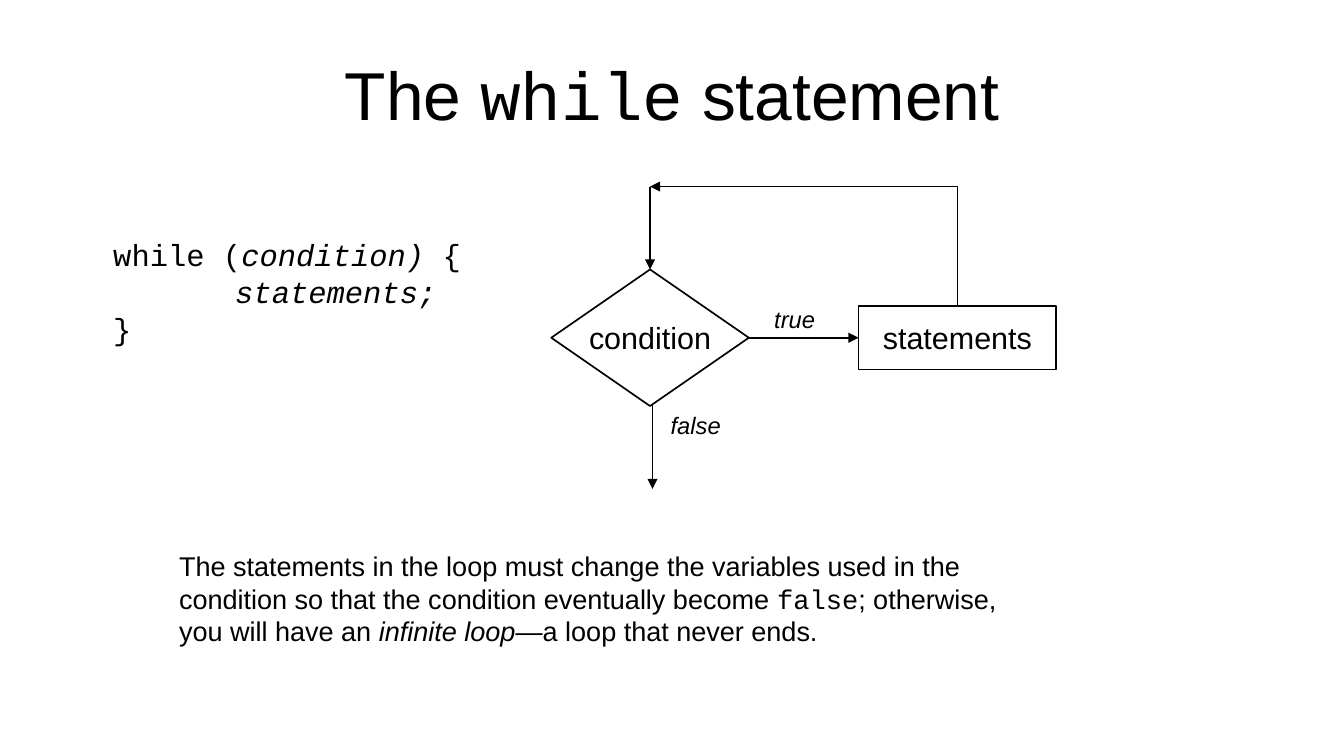
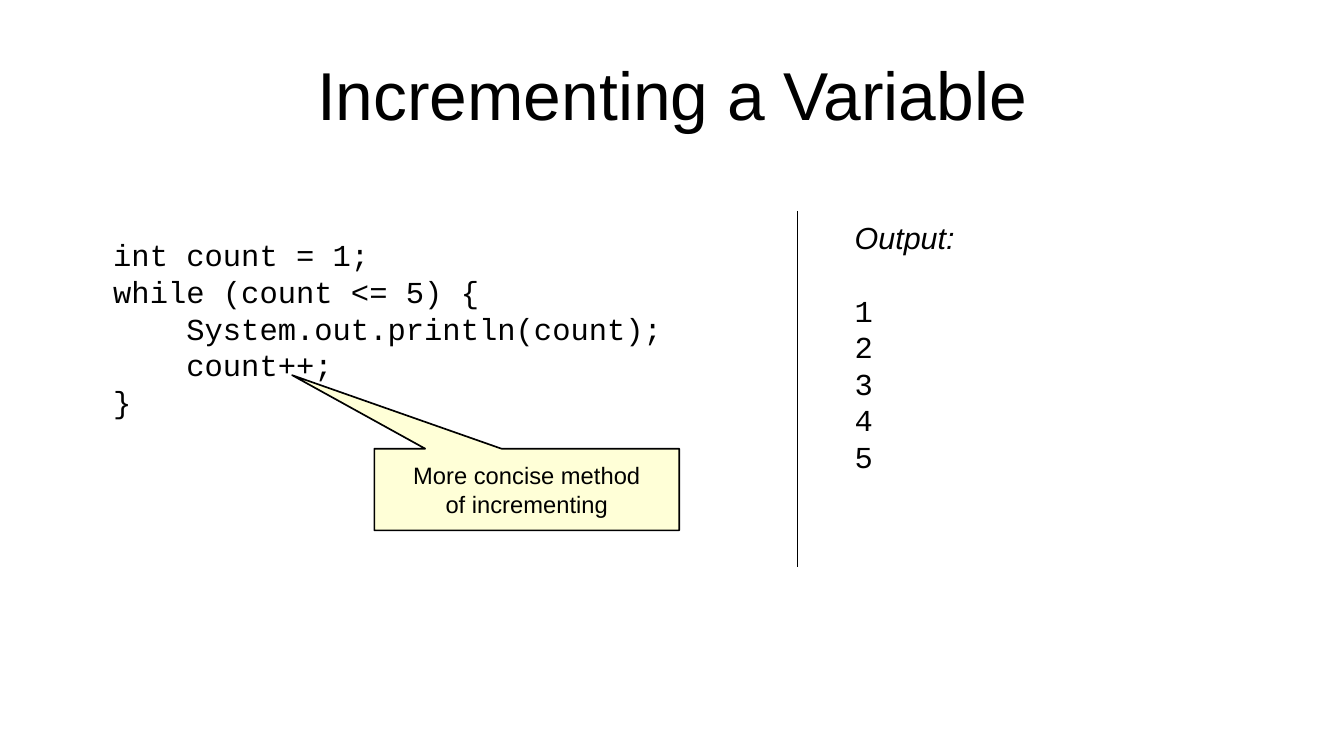
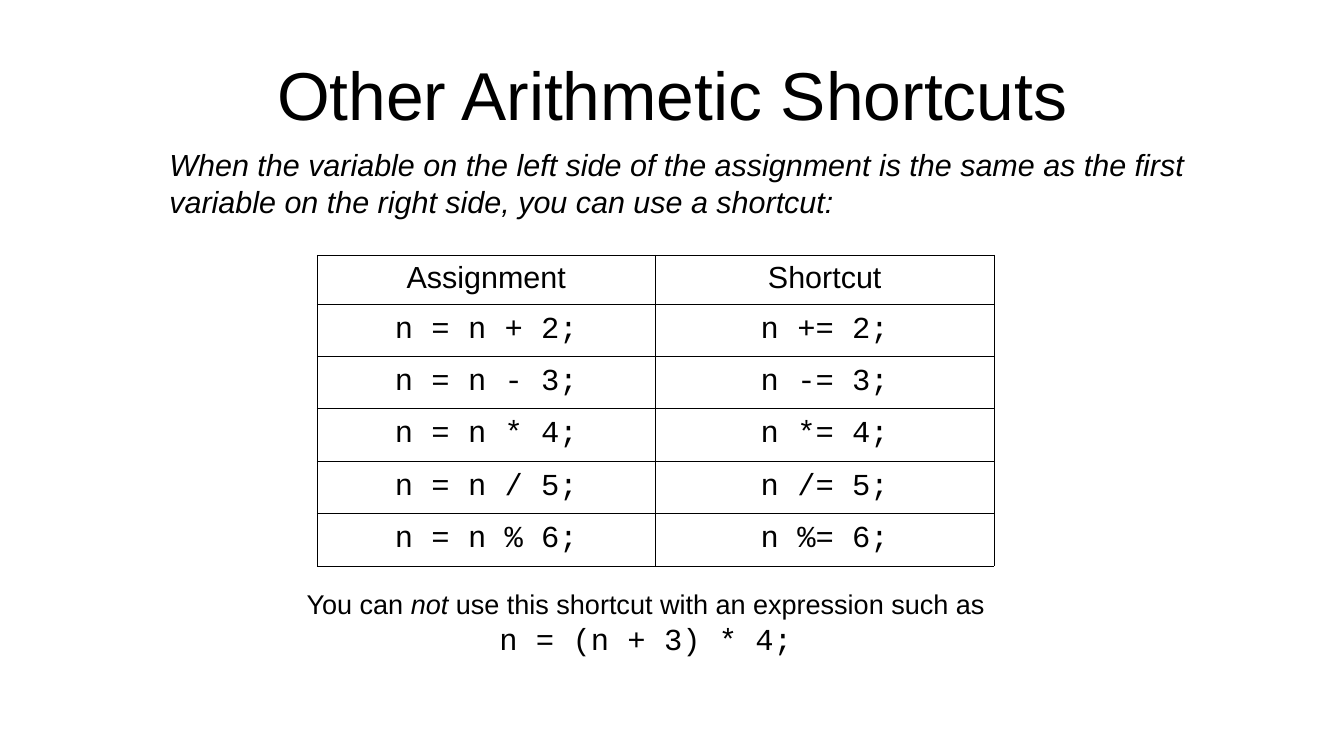
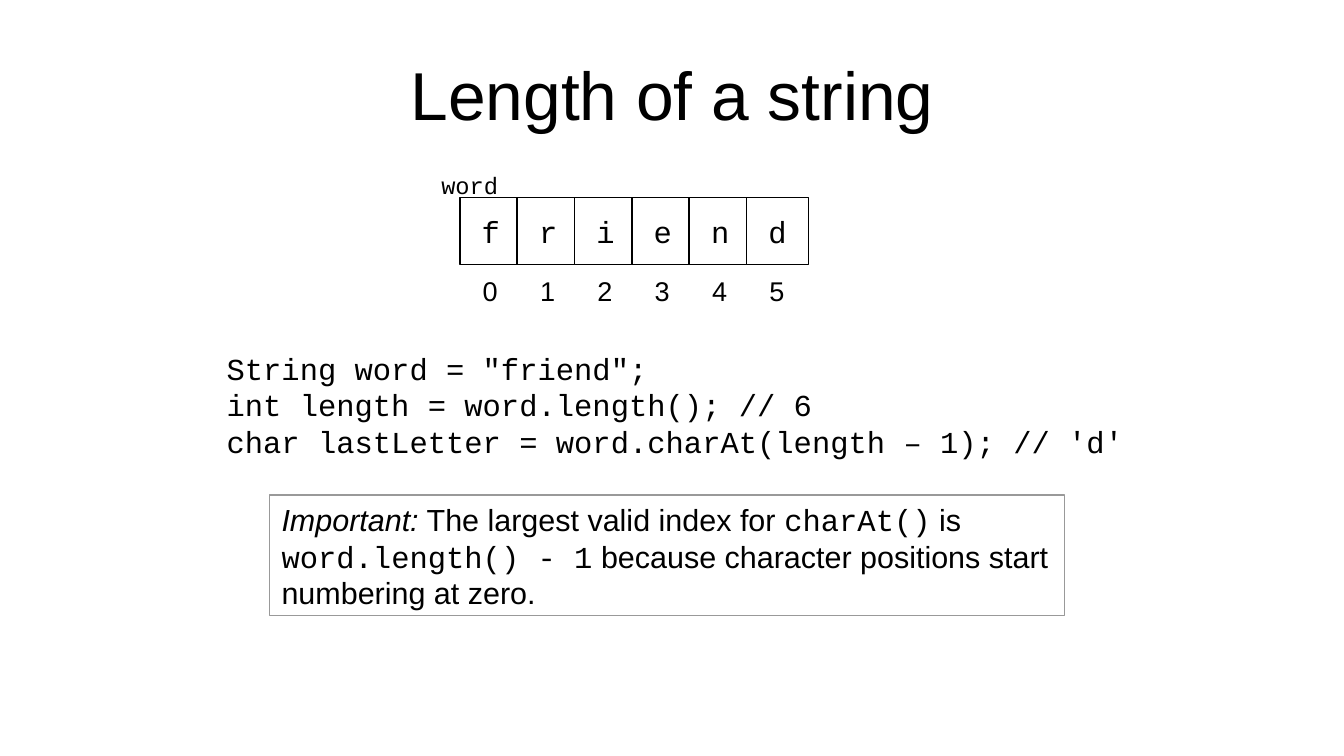
from lxml import etree
from pptx import Presentation
from pptx.dml.color import RGBColor
from pptx.enum.shapes import MSO_CONNECTOR, MSO_SHAPE
from pptx.enum.text import MSO_ANCHOR, MSO_AUTO_SIZE, PP_ALIGN
from pptx.oxml.ns import qn
from pptx.util import Inches, Pt

RECT, PROCESS = MSO_SHAPE.RECTANGLE, MSO_SHAPE.FLOWCHART_PROCESS
DECISION, CALLOUT = MSO_SHAPE.FLOWCHART_DECISION, MSO_SHAPE.RECTANGULAR_CALLOUT
STRAIGHT, ELBOW = MSO_CONNECTOR.STRAIGHT, MSO_CONNECTOR.ELBOW
LEFT, CENTER = PP_ALIGN.LEFT, PP_ALIGN.CENTER
TOP, MIDDLE = MSO_ANCHOR.TOP, MSO_ANCHOR.MIDDLE
SANS, MONO = "Arial", "Courier New"
BLACK, WHITE, YELLOW, GREY = "000000", "FFFFFF", "FFFFD7", "999999"
rgb = RGBColor.from_string


def add_text(shapes, at, paras, size=18, font=SANS, italic=False, align=LEFT,
             wrap=False, kind=None, fill=WHITE, line=BLACK, weight=1, anchor=MIDDLE):
    """Add a text box, or a preset shape if kind is given. A paragraph is a string
    or a list of runs (text, font, italic)."""
    box = [Inches(v) for v in at]
    if kind is None:
        sp = shapes.add_textbox(*box)
        sp.text_frame.auto_size = MSO_AUTO_SIZE.SHAPE_TO_FIT_TEXT
    else:
        sp = shapes.add_shape(kind, *box)
        sp.shadow.inherit = False
        if fill:
            sp.fill.solid()
            sp.fill.fore_color.rgb = rgb(fill)
        else:
            sp.fill.background()
        sp.line.color.rgb = rgb(line)
        sp.line.width = Pt(weight)
        sp.text_frame.vertical_anchor = anchor
    tf = sp.text_frame
    tf.word_wrap = wrap
    for i, para in enumerate(paras):
        p = tf.add_paragraph() if i else tf.paragraphs[0]
        p.alignment = align
        p.font.size, p.font.name, p.font.italic = Pt(size), font, italic
        p.font.color.rgb = rgb(BLACK)
        for text, *style in [(para,)] if isinstance(para, str) else para:
            r = p.add_run()
            r.text = text
            r.font.color.rgb = rgb(BLACK)
            if style:
                r.font.name, r.font.italic = style
    return sp


def add_line(shapes, kind, start, end, head=None):
    """Add a black line; head is the end that gets an arrow (headEnd or tailEnd)."""
    c = shapes.add_connector(kind, *[Inches(v) for v in start + end])
    c.line.color.rgb = rgb(BLACK)
    c.line.width = Pt(1)
    if head:
        etree.SubElement(c.line._get_or_add_ln(), qn("a:" + head), type="triangle")
    etree.SubElement(c._element.spPr, qn("a:effectLst"))
    return c


prs = Presentation()
prs.slide_width, prs.slide_height = Inches(11.02), Inches(6.2)

# Slides with their titles
titles = [
    [("The ", SANS), ("while", MONO), (" statement", SANS)],
    [("Incrementing a Variable", SANS)],
    [("Other Arithmetic Shortcuts", SANS)],
    [("Length of a string", SANS)],
]
for runs in titles:
    title = prs.slides.add_slide(prs.slide_layouts[5]).shapes.title
    title.left, title.top = Inches(0.55), Inches(0.25)
    title.width, title.height = Inches(9.92), Inches(1.04)
    tf = title.text_frame
    tf.margin_left = tf.margin_right = tf.margin_top = tf.margin_bottom = 0
    tf.vertical_anchor = MIDDLE
    p = tf.paragraphs[0]
    p.alignment = CENTER
    p.font.size = Pt(40)
    p.font.color.rgb = rgb(BLACK)
    for text, font in runs:
        r = p.add_run()
        r.text = text
        r.font.name = font
loop, increment, shortcuts, length = [s.shapes for s in prs.slides]

# Slide 1: code, with its second line indented
code = add_text(loop, (0.83, 1.89, 3.05, 0.95), [
    [("while (", MONO, False), ("condition)", MONO, True), (" {", MONO, False)],
    [("statements;", MONO, True)],
    "}",
], font=MONO)
pPr = code.text_frame.paragraphs[1]._p.get_or_add_pPr()
pPr.set("marL", str(Inches(1)))
pPr.set("indent", "0")

# Slide 1: flowchart
condition = add_text(loop, (4.52, 2.21, 1.62, 1.12), ["condition"], align=CENTER, kind=DECISION)
statements = add_text(loop, (7.04, 2.51, 1.62, 0.52), ["statements"], align=CENTER, kind=PROCESS)
enter = add_line(loop, STRAIGHT, (5.33, 1.53), (5.33, 2.21), "tailEnd")
enter.end_connect(condition, 0)
when_true = add_line(loop, STRAIGHT, (6.14, 2.77), (7.04, 2.77), "tailEnd")
when_true.begin_connect(condition, 3)
when_true.end_connect(statements, 1)
back = add_line(loop, ELBOW, (5.33, 1.53), (7.85, 2.51), "headEnd")
back._element.spPr.find(qn("a:prstGeom")).set("prst", "bentConnector2")
back.end_connect(statements, 0)
add_line(loop, STRAIGHT, (5.35, 3.32), (5.35, 4.01), "tailEnd")
add_text(loop, (6.25, 2.45, 0.6, 0.32), ["true"], size=14, italic=True)
add_text(loop, (5.4, 3.32, 0.65, 0.32), ["false"], size=14, italic=True)

# Slide 1: remark
add_text(loop, (1.37, 4.46, 7.14, 0.86), [[
    ("The statements in the loop must change the variables used in the condition "
     "so that the condition eventually become ", SANS, False),
    ("false", MONO, False),
    ("; otherwise, you will have an ", SANS, False),
    ("infinite loop—", SANS, True),
    ("a loop that never ends.", SANS, False),
]], size=16, wrap=True)

# Slide 2: code, callout and output
add_text(increment, (0.83, 1.89, 4.7, 1.52), [
    "int count = 1;",
    "while (count <= 5) {",
    "    System.out.println(count);",
    "    count++;",
    "}",
], font=MONO)
callout = add_text(increment, (3.07, 3.68, 2.5, 0.67),
                   ["More concise method", "of incrementing"],
                   size=14, align=CENTER, kind=CALLOUT, fill=YELLOW)
callout.adjustments[0], callout.adjustments[1] = -0.77, -1.4
add_line(increment, STRAIGHT, (6.54, 1.73), (6.54, 4.65))
output = add_text(increment, (6.91, 1.75, 1.02, 2.08),
                  [[("Output:", SANS, True)], *"12345"], font=MONO)
output.text_frame.paragraphs[0].space_after = Pt(21)

# Slide 3: introduction
add_text(shortcuts, (1.29, 1.15, 8.81, 0.66), [
    "When the variable on the left side of the assignment is the same as the first "
    "variable on the right side, you can use a shortcut:",
], italic=True, wrap=True)

# Slide 3: table
rows = [("Assignment", "Shortcut")]
rows += [(f"n = n {op} {n};", f"n {op}= {n};") for n, op in enumerate("+-*/%", 2)]
table = shortcuts.add_table(len(rows), 2, Inches(2.6), Inches(2.09),
                            Inches(5.55), Inches(2.53)).table
for i, row in enumerate(rows):
    table.rows[i].height = Inches(0.43 if i else 0.38)
    for j, text in enumerate(row):
        cell = table.cell(i, j)
        cell.text = text
        cell.vertical_anchor = MIDDLE if i else TOP
        p = cell.text_frame.paragraphs[0]
        p.alignment = CENTER
        p.font.size, p.font.name, p.font.bold = Pt(18), MONO if i else SANS, False
        p.font.color.rgb = rgb(BLACK)
        tcPr = cell._tc.get_or_add_tcPr()
        for side in ("lnL", "lnR", "lnT", "lnB"):
            ln = etree.SubElement(tcPr, qn("a:" + side), w=str(Pt(0.06)))
            border = etree.SubElement(ln, qn("a:solidFill"))
            etree.SubElement(border, qn("a:srgbClr"), val=BLACK)
        cell.fill.solid()
        cell.fill.fore_color.rgb = rgb(WHITE)

# Slide 3: exception
exception = add_text(shortcuts, (2.41, 4.77, 5.77, 0.63), [
    [("You can ", SANS, False), ("not", SANS, True),
     (" use this shortcut with an expression such as", SANS, False)],
    [("n = (n + 3) * 4;", MONO, False)],
], size=16, align=CENTER)
exception.text_frame.paragraphs[1].font.size = Pt(18)

# Slide 4: letters and their positions
word = length.add_group_shape().shapes
for i, letter in enumerate("friend"):
    add_text(word, (3.77 + 0.47 * i, 1.62, 0.51, 0.55), [letter],
             font=MONO, align=CENTER, kind=RECT)
    add_text(word, (3.86 + 0.47 * i, 2.2, 0.32, 0.35), [str(i)], size=16)
add_text(word, (3.52, 1.35, 0.67, 0.32), ["word"], size=14, font=MONO)

# Slide 4: code and remark
add_text(length, (1.76, 2.82, 7.97, 1.23), [
    'String word = "friend";',
    "int length = word.length(); // 6",
    "char lastLetter = word.charAt(length – 1); // 'd'",
], font=MONO, wrap=True)
add_text(length, (2.21, 4.06, 6.52, 0.99), [[
    ("Important:", SANS, True),
    (" The largest valid index for ", SANS, False),
    ("charAt()", MONO, False),
    (" is ", SANS, False),
    ("word.length() - 1", MONO, False),
    (" because character positions start numbering at zero.", SANS, False),
]], wrap=True, kind=RECT, fill=None, line=GREY, weight=0.71, anchor=TOP)

prs.save("out.pptx")
